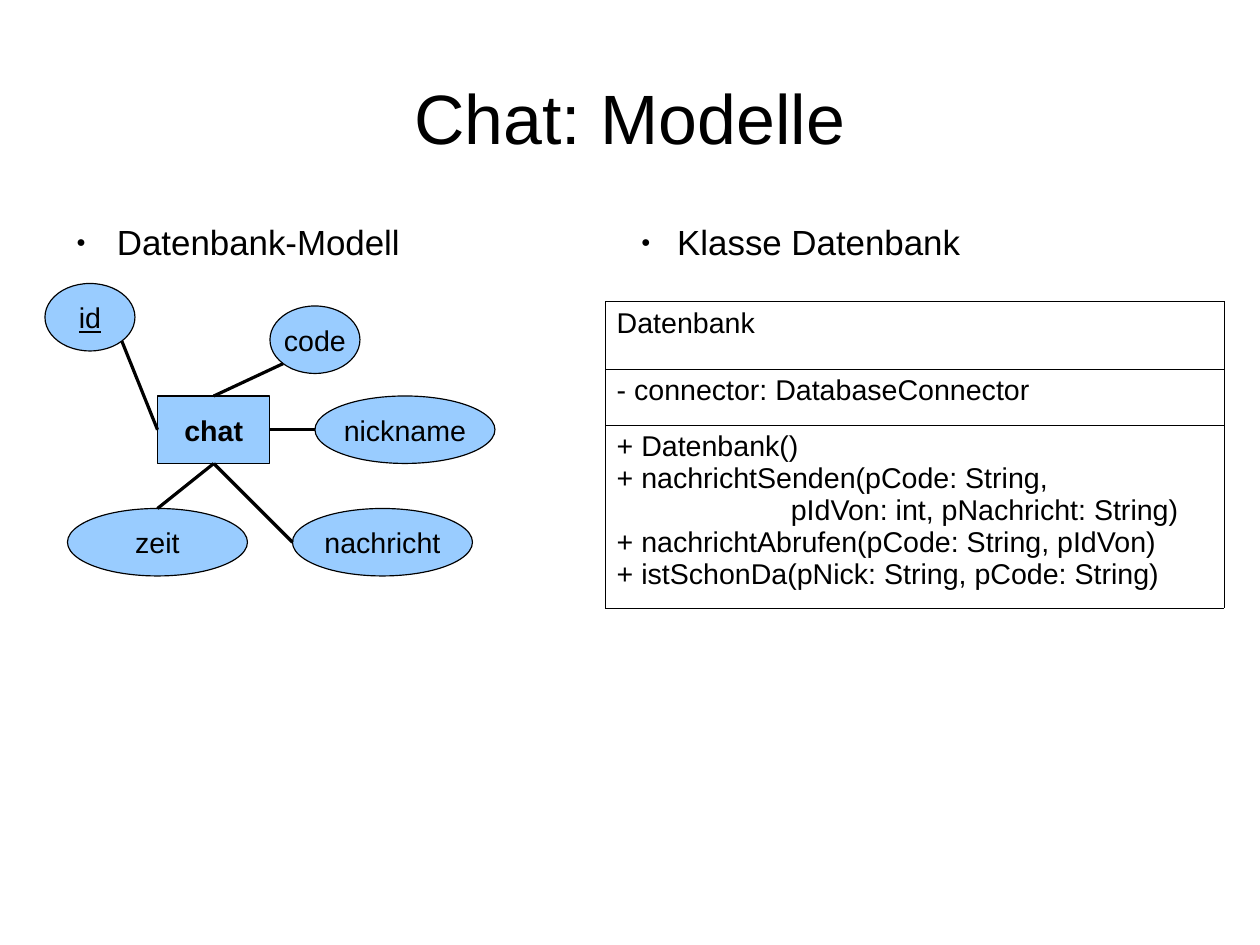
import math

import pptx
import pptx.dml.color
import pptx.enum.shapes
import pptx.enum.text
import pptx.oxml
import pptx.oxml.ns
import pptx.util

Cm = pptx.util.Cm
Pt = pptx.util.Pt
Shapes = pptx.enum.shapes.MSO_SHAPE
Anchor = pptx.enum.text.MSO_ANCHOR
Align = pptx.enum.text.PP_ALIGN

BLACK = pptx.dml.color.RGBColor(0x00, 0x00, 0x00)
LIGHT_BLUE = pptx.dml.color.RGBColor(0x99, 0xCC, 0xFF)
NAMESPACE = pptx.oxml.ns.nsdecls("a")


def write(paragraph, text, size, **font_values):
    run = paragraph.add_run()
    run.text = text
    run.font.color.rgb = BLACK
    values = {"name": "Arial", "size": Pt(size), **font_values}
    for name, value in values.items():
        setattr(run.font, name, value)


def add_node(kind, left, top, width, height, text, **font_values):
    """Add a blue diagram node; lengths are in centimetres."""
    shape = slide.shapes.add_shape(kind, Cm(left), Cm(top), Cm(width), Cm(height))
    shape.shadow.inherit = False
    shape.fill.solid()
    shape.fill.fore_color.rgb = LIGHT_BLUE
    shape.line.color.rgb = BLACK
    shape.line.width = Pt(0)
    frame = shape.text_frame
    frame.word_wrap = False
    frame.vertical_anchor = Anchor.MIDDLE
    frame.paragraphs[0].alignment = Align.CENTER
    write(frame.paragraphs[0], text, 18, **font_values)
    return shape


presentation = pptx.Presentation()
presentation.slide_width = Cm(28)
presentation.slide_height = Cm(21)
slide = presentation.slides.add_slide(presentation.slide_layouts[5])

# Title
title = slide.shapes.title
title_format = {"left": Cm(1.4), "top": Cm(0.84), "width": Cm(25.2), "height": Cm(3.5)}
for name, value in title_format.items():
    setattr(title, name, value)
frame = title.text_frame
frame.vertical_anchor = Anchor.MIDDLE
for side in ("left", "top", "right", "bottom"):
    setattr(frame, f"margin_{side}", 0)
frame.paragraphs[0].alignment = Align.CENTER
write(frame.paragraphs[0], "Chat: Modelle", 44)

# Bulleted headings: text, left, width, left margin, hanging indent
headings = [
    ("Datenbank-Modell", 1.4, 12.3, 1.2, 0.9),
    ("Klasse Datenbank", 14.25, 13.2, 0.8, 0.8),
]
for text, left, width, margin, hanging in headings:
    box = slide.shapes.add_textbox(Cm(left), Cm(4.91), Cm(width), Cm(1))
    frame = box.text_frame
    frame.word_wrap = True
    for side in ("left", "top", "right", "bottom"):
        setattr(frame, f"margin_{side}", 0)
    paragraph = frame.paragraphs[0]
    write(paragraph, text, 22)
    properties = paragraph._p.get_or_add_pPr()
    properties.set("marL", str(Cm(margin)))
    properties.set("indent", str(-Cm(hanging)))
    for bullet in (
        f'<a:buClr {NAMESPACE}><a:srgbClr val="{BLACK}"/></a:buClr>',
        f'<a:buSzPct {NAMESPACE} val="45000"/>',
        f'<a:buFont {NAMESPACE} typeface="Arial"/>',
        f'<a:buChar {NAMESPACE} char="●"/>',
    ):
        properties.append(pptx.oxml.parse_xml(bullet))

# Entity with its attributes
NODE_HEIGHT = 1.5
entity = add_node(Shapes.RECTANGLE, 3.5, 8.8, 2.5, NODE_HEIGHT, "chat", bold=True)

# Attribute: left, top, width, angle of the joint on the ellipse, side of the entity
attributes = {
    "id": (1, 6.3, 2, 45, 1),
    "code": (6, 6.8, 2, 135, 0),
    "nickname": (7, 8.8, 4, 180, 3),
    "nachricht": (6.5, 11.3, 4, 180, 2),
    "zeit": (1.5, 11.3, 4, 270, 2),
}
for text, (left, top, width, degrees, entity_side) in attributes.items():
    add_node(Shapes.OVAL, left, top, width, NODE_HEIGHT, text, underline=text == "id")
    angle = math.radians(degrees)
    joint_x = Cm(left + width / 2 * (1 + math.cos(angle)))
    joint_y = Cm(top + NODE_HEIGHT / 2 * (1 + math.sin(angle)))
    connector = slide.shapes.add_connector(
        pptx.enum.shapes.MSO_CONNECTOR.STRAIGHT, joint_x, joint_y, joint_x, joint_y
    )
    connector.end_connect(entity, entity_side)
    connector.line.color.rgb = BLACK
    connector.line.width = Pt(0)
    connector._element.spPr.append(pptx.oxml.parse_xml(f"<a:effectLst {NAMESPACE}/>"))

# Class diagram: height and lines (text, indent) of each row
class_rows = [
    (1.5, [("Datenbank", 0)]),
    (1.24, [("- connector: DatabaseConnector", 0)]),
    (4.07, [
        ("+ Datenbank()", 0),
        ("+ nachrichtSenden(pCode: String,", 0),
        ("pIdVon: int, pNachricht: String)", 3.87),
        ("+ nachrichtAbrufen(pCode: String, pIdVon)", 0),
        ("+ istSchonDa(pNick: String, pCode: String)", 0),
    ]),
]
table = slide.shapes.add_table(
    len(class_rows), 1, Cm(13.45), Cm(6.7), Cm(13.75), Cm(6.81)
).table
table.first_row = False
table.horz_banding = False
for index, (height, lines) in enumerate(class_rows):
    table.rows[index].height = Cm(height)
    cell = table.cell(index, 0)
    for number, (text, indent) in enumerate(lines):
        frame = cell.text_frame
        paragraph = frame.add_paragraph() if number else frame.paragraphs[0]
        write(paragraph, text, 18)
        if indent:
            paragraph._p.get_or_add_pPr().set("marL", str(Cm(indent)))
    properties = cell._tc.get_or_add_tcPr()
    for border in ("lnL", "lnR", "lnT", "lnB"):
        properties.append(pptx.oxml.parse_xml(
            f'<a:{border} {NAMESPACE} w="720"><a:solidFill>'
            f'<a:srgbClr val="{BLACK}"/></a:solidFill></a:{border}>'
        ))
    cell.fill.background()

presentation.save("out.pptx")
